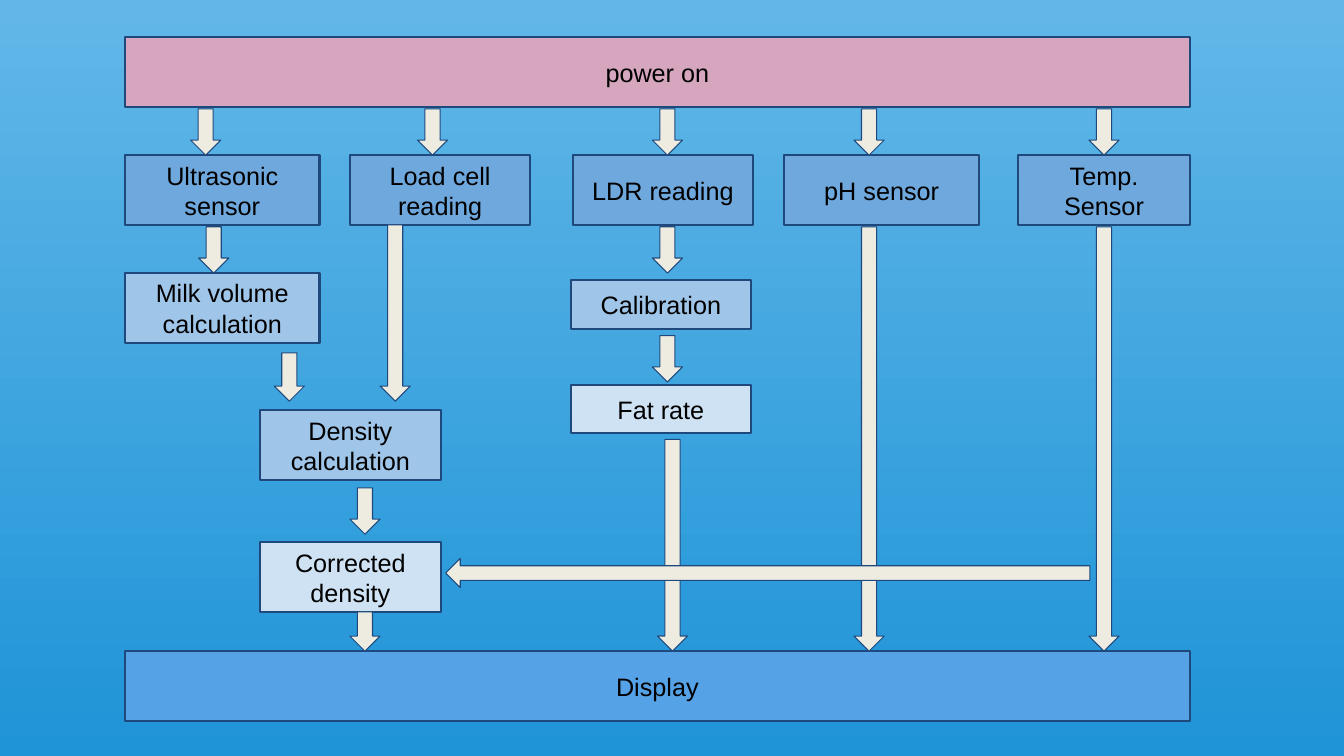
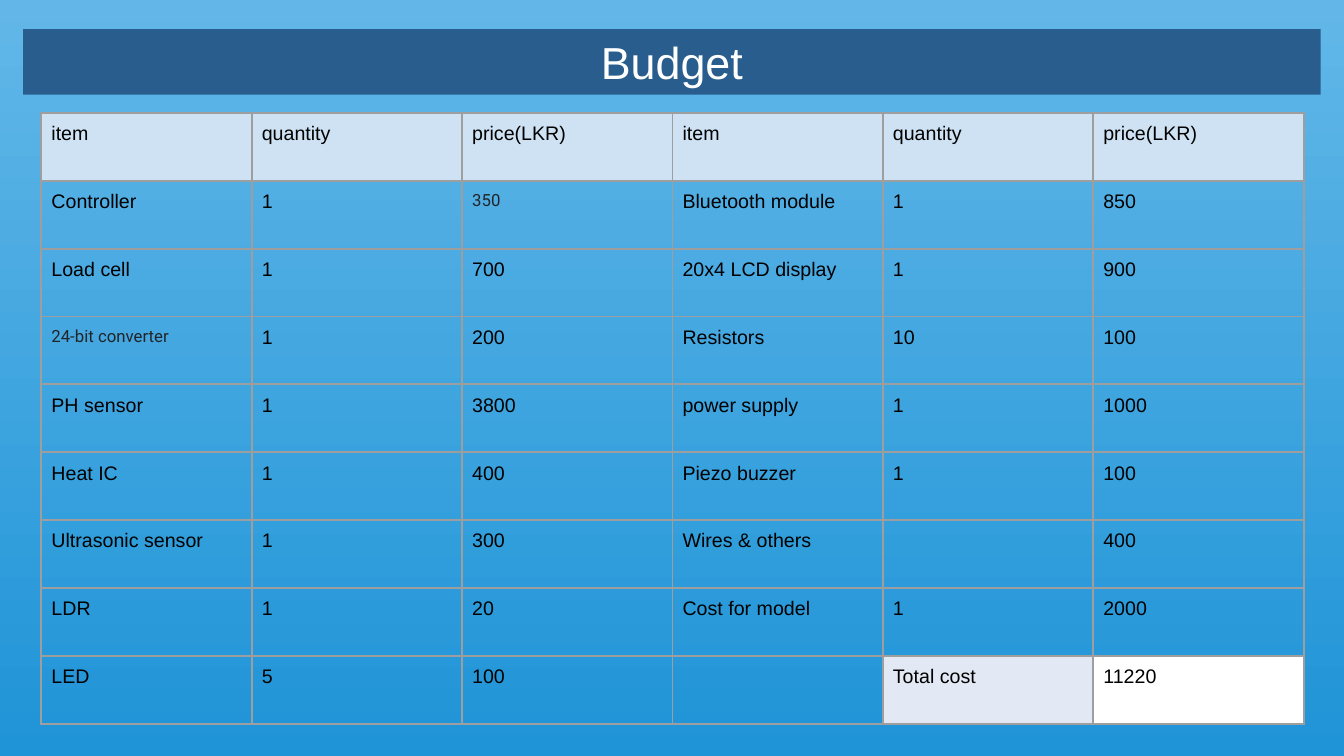
from lxml.etree import SubElement
from pptx import Presentation
from pptx.dml.color import RGBColor
from pptx.enum.shapes import MSO_SHAPE
from pptx.enum.text import MSO_ANCHOR, PP_ALIGN
from pptx.oxml.ns import qn
from pptx.util import Inches, Pt

SKY_TOP = RGBColor(0x62, 0xB7, 0xE8)
SKY_BOTTOM = RGBColor(0x1F, 0x94, 0xD7)
NAVY = RGBColor(0x1F, 0x49, 0x7D)
BANNER = RGBColor(0x28, 0x5D, 0x8D)
PINK = RGBColor(0xD5, 0xA6, 0xBD)
SENSOR_BLUE = RGBColor(0x6F, 0xA8, 0xDC)
STEP_BLUE = RGBColor(0x9F, 0xC5, 0xE8)
RESULT_BLUE = RGBColor(0xCF, 0xE2, 0xF3)
DISPLAY_BLUE = RGBColor(0x56, 0xA2, 0xE6)
TOTAL_LABEL = RGBColor(0xE3, 0xE9, 0xF4)
CREAM = RGBColor(0xEE, 0xEC, 0xE1)
GREY = RGBColor(0x9E, 0x9E, 0x9E)
INK = RGBColor(0x21, 0x25, 0x29)
BLACK = RGBColor(0, 0, 0)
WHITE = RGBColor(0xFF, 0xFF, 0xFF)

INSET = 0.1
BAR_LEFT, BAR_WIDTH, BOX_HEIGHT, SLIM_HEIGHT = 1.24, 10.56, 0.69, 0.48
POWER_TOP, SENSOR_TOP, DISPLAY_TOP = 0.37, 1.54, 6.46
WIDE, NARROW = 1.93, 1.79
DENSITY_LEFT, FAT_LEFT = 2.58, 5.66
ARROW_WIDTH, ARROW_GAP = 0.3, 0.02

SENSORS = [
    ("Ultrasonic sensor", 1.24, WIDE),
    ("Load cell reading", 3.47, NARROW),
    ("LDR reading", 5.68, NARROW),
    ("pH sensor", 7.78, WIDE),
    ("Temp. Sensor", 10.1, 1.7),
]
STEPS = [
    ("Milk volume calculation", BAR_LEFT, 2.71, WIDE, BOX_HEIGHT, STEP_BLUE),
    ("Density calculation", DENSITY_LEFT, 4.07, NARROW, BOX_HEIGHT, STEP_BLUE),
    ("Corrected density", DENSITY_LEFT, 5.38, NARROW, BOX_HEIGHT, RESULT_BLUE),
    ("Calibration", FAT_LEFT, 2.78, NARROW, SLIM_HEIGHT, STEP_BLUE),
    ("Fat rate", FAT_LEFT, 3.82, NARROW, SLIM_HEIGHT, RESULT_BLUE),
]
LDR_X, PH_X, TEMP_X, DENSITY_X = 6.62, 8.62, 10.95, 3.62
POWER_ARROWS = [2.04, 4.29, LDR_X, PH_X, TEMP_X]
SENSOR_BOTTOM = SENSOR_TOP + BOX_HEIGHT
FLOW_ARROWS = [
    (2.12, SENSOR_BOTTOM + ARROW_GAP, 2.71),
    (LDR_X, SENSOR_BOTTOM + ARROW_GAP, 2.71),
    (LDR_X, 3.33, 3.79),
    (2.87, 3.5, 3.98),
    (3.92, SENSOR_BOTTOM, 3.98),
    (DENSITY_X, 4.84, 5.3),
    (DENSITY_X, 6.07, DISPLAY_TOP),
    (6.67, 4.36, DISPLAY_TOP),
    (PH_X, SENSOR_BOTTOM + ARROW_GAP, DISPLAY_TOP),
    (TEMP_X, SENSOR_BOTTOM + ARROW_GAP, DISPLAY_TOP),
]
CORRECTION_ARROW = (4.42, 5.54, 6.39, 0.29)

BUDGET = [
    ("item", "quantity", "price(LKR)") * 2,
    ("Controller", "1", "350", "Bluetooth module", "1", "850"),
    ("Load cell", "1", "700", "20x4 LCD display", "1", "900"),
    ("24-bit converter", "1", "200", "Resistors", "10", "100"),
    ("PH sensor", "1", "3800", "power supply", "1", "1000"),
    ("Heat IC", "1", "400", "Piezo buzzer", "1", "100"),
    ("Ultrasonic sensor", "1", "300", "Wires & others", "", "400"),
    ("LDR", "1", "20", "Cost for model", "1", "2000"),
    ("LED", "5", "100", "", "Total cost", "11220"),
]
TABLE_LEFT, TABLE_TOP, TABLE_WIDTH, TABLE_HEIGHT = 0.41, 1.12, 12.52, 6.06
CELL_FILLS = {(0, column): RESULT_BLUE for column in range(len(BUDGET[0]))}
CELL_FILLS.update({(8, 4): TOTAL_LABEL, (8, 5): WHITE})
SMALL_CELLS = {(1, 2), (3, 0)}


def set_font(paragraph, size, color=BLACK, name="Arial"):
    paragraph.font.name = name
    paragraph.font.size = Pt(size)
    paragraph.font.color.rgb = color


def set_insets(holder):
    holder.margin_left = holder.margin_right = Inches(INSET)
    holder.margin_top = holder.margin_bottom = Inches(INSET)


def add_block(page, kind, place, fill, line_width=0):
    block = page.shapes.add_shape(kind, *(Inches(length) for length in place))
    block.shadow.inherit = False
    block.fill.solid()
    block.fill.fore_color.rgb = fill
    if line_width:
        block.line.color.rgb = NAVY
        block.line.width = Pt(line_width)
    else:
        block.line.fill.background()
    return block


def add_box(page, text, place, fill, size=18, color=BLACK, line_width=1.5):
    box = add_block(page, MSO_SHAPE.RECTANGLE, place, fill, line_width)
    frame = box.text_frame
    frame.word_wrap = True
    frame.vertical_anchor = MSO_ANCHOR.MIDDLE
    set_insets(frame)
    paragraph = frame.paragraphs[0]
    paragraph.text = text
    paragraph.alignment = PP_ALIGN.CENTER
    set_font(paragraph, size, color)


def add_down_arrow(page, center, top, bottom):
    place = (center - ARROW_WIDTH / 2, top, ARROW_WIDTH, bottom - top)
    add_block(page, MSO_SHAPE.DOWN_ARROW, place, CREAM, 0.75)


def set_borders(cell):
    properties = cell._tc.get_or_add_tcPr()
    for side in ("lnL", "lnR", "lnT", "lnB"):
        line = SubElement(properties, qn(f"a:{side}"), w=str(Pt(1.5)))
        fill = SubElement(line, qn("a:solidFill"))
        SubElement(fill, qn("a:srgbClr"), val=str(GREY))


def build_flow(page):
    add_box(page, "power on", (BAR_LEFT, POWER_TOP, BAR_WIDTH, BOX_HEIGHT), PINK)
    for text, left, width in SENSORS:
        add_box(page, text, (left, SENSOR_TOP, width, BOX_HEIGHT), SENSOR_BLUE)
    for text, left, top, width, height, fill in STEPS:
        add_box(page, text, (left, top, width, height), fill)
    add_box(page, "Display", (BAR_LEFT, DISPLAY_TOP, BAR_WIDTH, BOX_HEIGHT), DISPLAY_BLUE)
    for center in POWER_ARROWS:
        add_down_arrow(page, center, POWER_TOP + BOX_HEIGHT + ARROW_GAP, SENSOR_TOP)
    for center, top, bottom in FLOW_ARROWS:
        add_down_arrow(page, center, top, bottom)
    add_block(page, MSO_SHAPE.LEFT_ARROW, CORRECTION_ARROW, CREAM, 0.75)


def build_budget(page):
    add_box(page, "Budget", (0.23, 0.29, 12.87, 0.65), BANNER, 32, WHITE, 0)
    place = (TABLE_LEFT, TABLE_TOP, TABLE_WIDTH, TABLE_HEIGHT)
    table = page.shapes.add_table(
        len(BUDGET), len(BUDGET[0]), *(Inches(length) for length in place)
    ).table
    table.first_row = table.horz_banding = False
    for row, values in enumerate(BUDGET):
        for column, value in enumerate(values):
            cell = table.cell(row, column)
            set_insets(cell)
            set_borders(cell)
            if (row, column) in CELL_FILLS:
                cell.fill.solid()
                cell.fill.fore_color.rgb = CELL_FILLS[row, column]
            else:
                cell.fill.background()
            paragraph = cell.text_frame.paragraphs[0]
            paragraph.text = value
            if (row, column) in SMALL_CELLS:
                set_font(paragraph, 12, INK, "Roboto")
            else:
                set_font(paragraph, 14)


def main():
    deck = Presentation()
    deck.slide_width = Inches(13.33)
    deck.slide_height = Inches(7.5)
    sky = deck.slide_master.background.fill
    sky.gradient()
    sky.gradient_angle = 270
    for stop, color in zip(sky.gradient_stops, (SKY_TOP, SKY_BOTTOM)):
        stop.color.rgb = color
    for build in (build_flow, build_budget):
        build(deck.slides.add_slide(deck.slide_layouts[6]))
    deck.save("out.pptx")


if __name__ == "__main__":
    main()
